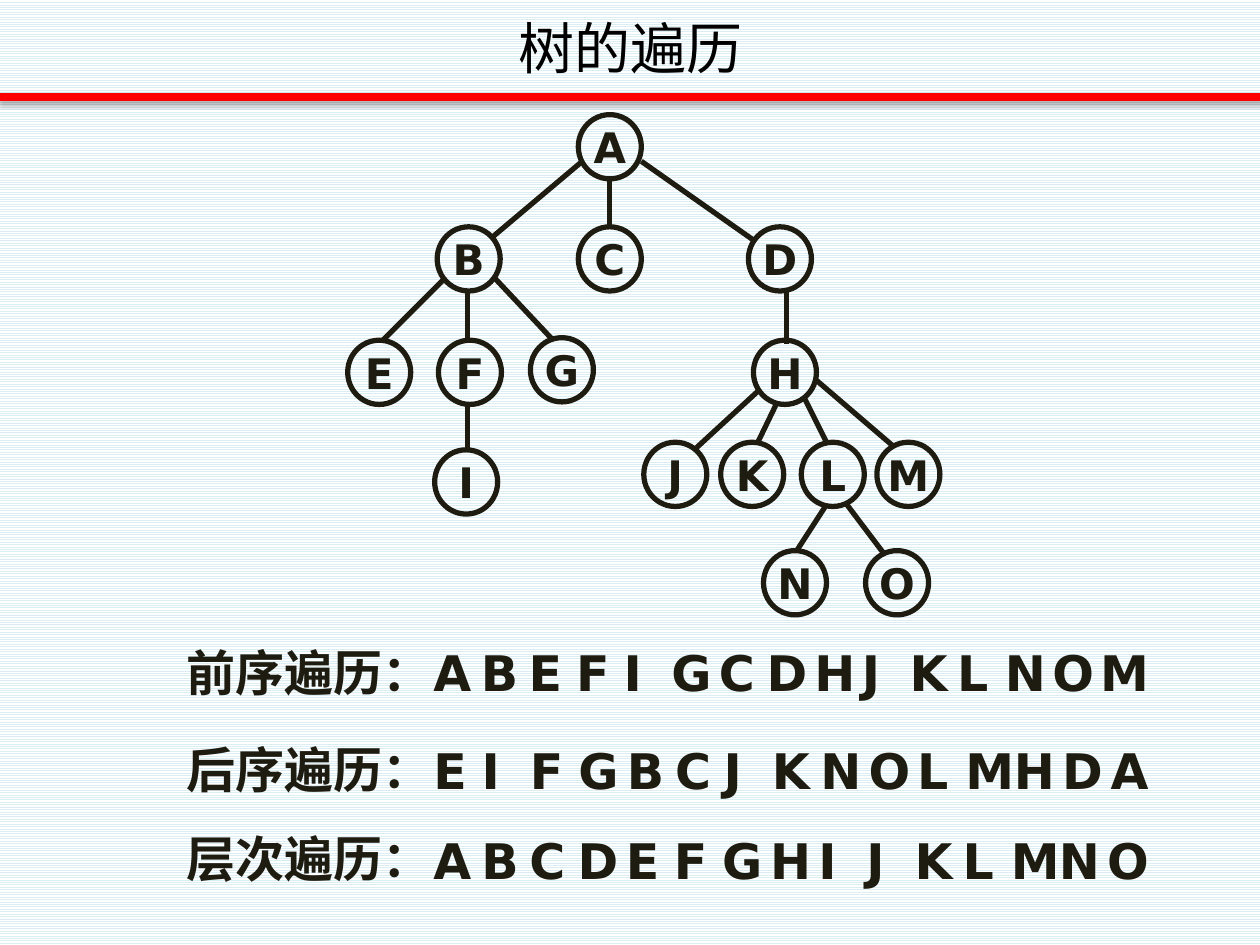
from dataclasses import dataclass

from lxml.etree import SubElement
from pptx import Presentation
from pptx.dml.color import RGBColor
from pptx.enum.dml import MSO_PATTERN
from pptx.enum.shapes import MSO_CONNECTOR, MSO_SHAPE
from pptx.enum.text import MSO_ANCHOR as Anchor, MSO_AUTO_SIZE as AutoSize, PP_ALIGN as Align
from pptx.oxml.ns import qn
from pptx.util import Inches, Length, Pt

COLUMNS, ROWS = 100, 75
INK = RGBColor(0x1E, 0x1C, 0x11)
RED = RGBColor(0xFF, 0x00, 0x00)
BLACK = RGBColor(0x00, 0x00, 0x00)
WHITE = RGBColor(0xFF, 0xFF, 0xFF)
PALE_BLUE = RGBColor(0xDB, 0xEE, 0xF4)
LATIN_FONT, CHINESE_FONT = "DejaVu Sans", "Noto Sans CJK SC"
NODE_WIDTH, NODE_HEIGHT = 5, 5.1
LETTER_START, LETTER_WIDTH, LETTER_HEIGHT = 33.4, 5.9, 5.7


@dataclass(frozen=True)
class Node:
    letter: str
    column: float
    row: float


@dataclass(frozen=True)
class Edge:
    start: tuple[float, float]
    end: tuple[float, float]


@dataclass(frozen=True)
class Traversal:
    label: str
    label_row: float
    label_height: float
    letters: str
    letter_row: float
    pitch: float


NODES = [
    Node("A", 45.9, 9.1),
    Node("B", 34.7, 18), Node("C", 45.9, 18), Node("D", 59.4, 18),
    Node("E", 27.6, 27), Node("F", 34.8, 27), Node("G", 42.1, 26.8), Node("H", 59.8, 27),
    Node("I", 34.5, 35.7),
    Node("J", 51.1, 35.1), Node("K", 57.2, 35.1), Node("L", 63.6, 35.1), Node("M", 69.6, 35.1),
    Node("N", 60.6, 43.7), Node("O", 68.7, 43.7),
]

EDGES = [
    Edge((46.1, 12.9), (39.1, 18.8)),
    Edge((48.4, 14.3), (48.4, 18)),
    Edge((50.9, 12.8), (60, 19.2)),
    Edge((35.2, 22.2), (30.3, 27.1)),
    Edge((37.1, 23.2), (37.1, 27)),
    Edge((39.2, 22), (43.8, 26.9)),
    Edge((37.1, 32.1), (37.1, 35.6)),
    Edge((62.4, 23), (62.4, 27.3)),
    Edge((60.1, 31.1), (55.1, 35.7)),
    Edge((61.6, 32.1), (60.1, 35.2)),
    Edge((63.9, 31.7), (65.7, 35.3)),
    Edge((64.7, 30.1), (71, 35.5)),
    Edge((65.5, 40.2), (63.3, 43.6)),
    Edge((67.1, 39.9), (70.2, 44)),
]

TRAVERSALS = [
    Traversal("前序遍历：", 50.7, 5.3, "ABEFIGCDHJKLNOM", 50.5, 3.78),
    Traversal("后序遍历：", 58.4, 5.3, "EIFGBCJKNOLMHDA", 58.3, 3.84),
    Traversal("层次遍历：", 65.2, 5.8, "ABCDEFGHIJKLMNO", 65.4, 3.82),
]

presentation = Presentation()
presentation.slide_width, presentation.slide_height = Inches(10), Inches(7.5)


def across(columns: float) -> Length:
    return Length(round(presentation.slide_width * columns / COLUMNS))


def down(rows: float) -> Length:
    return Length(round(presentation.slide_height * rows / ROWS))


def area(column: float, row: float, width: float, height: float) -> tuple[Length, ...]:
    return across(column), down(row), across(width), down(height)


def write(shape, text: str, size: float, align: Align, anchor: Anchor,
          color: RGBColor = INK, font: str = LATIN_FONT, bold: bool = True) -> None:
    shape.text_frame.vertical_anchor = anchor
    paragraph = shape.text_frame.paragraphs[0]
    paragraph.alignment = align
    run = paragraph.add_run()
    run.text = text
    run.font.size, run.font.name, run.font.bold = Pt(size), font, bold
    run.font.color.rgb = color
    SubElement(run.font._element, qn("a:ea"), typeface=CHINESE_FONT)


def draw_line(shapes, edge: Edge, color: RGBColor, width: float):
    (left, top), (right, bottom) = edge.start, edge.end
    line = shapes.add_connector(MSO_CONNECTOR.STRAIGHT, across(left), down(top),
                                across(right), down(bottom))
    line.line.color.rgb = color
    line.line.width = Pt(width)
    effects = SubElement(line._element.spPr, qn("a:effectLst"))
    return effects


def draw_divider(shapes) -> None:
    effects = draw_line(shapes, Edge((-0.1, 7.7), (100.1, 7.7)), RED, 4.5)
    shadow = SubElement(effects, qn("a:outerShdw"), blurRad=str(Pt(3.1)),
                        dist=str(Pt(1.8)), dir="5400000", rotWithShape="0")
    color = SubElement(shadow, qn("a:srgbClr"), val=str(BLACK))
    SubElement(color, qn("a:alpha"), val="35000")


def draw_node(shapes, node: Node) -> None:
    circle = shapes.add_shape(MSO_SHAPE.OVAL,
                              *area(node.column, node.row, NODE_WIDTH, NODE_HEIGHT))
    circle.shadow.inherit = False
    circle.fill.background()
    circle.line.color.rgb = INK
    circle.line.width = Pt(3)
    circle.text_frame.word_wrap = False
    write(circle, node.letter, 24, Align.CENTER, Anchor.MIDDLE)


def draw_traversal(shapes, traversal: Traversal) -> None:
    label = shapes.add_textbox(*area(11, traversal.label_row, 24.2, traversal.label_height))
    label.text_frame.word_wrap = True
    write(label, traversal.label, 28, Align.RIGHT, Anchor.MIDDLE)
    group = shapes.add_group_shape()
    for index, letter in enumerate(traversal.letters):
        box = group.shapes.add_textbox(*area(LETTER_START + index * traversal.pitch,
                                             traversal.letter_row, LETTER_WIDTH, LETTER_HEIGHT))
        box.text_frame.word_wrap = True
        box.text_frame.auto_size = AutoSize.SHAPE_TO_FIT_TEXT
        write(box, letter, 28, Align.LEFT, Anchor.TOP)


def main() -> None:
    slide = presentation.slides.add_slide(presentation.slide_layouts[5])
    background = slide.background.fill
    background.patterned()
    background.pattern = MSO_PATTERN.LIGHT_HORIZONTAL
    background.fore_color.rgb = PALE_BLUE
    background.back_color.rgb = WHITE

    title = slide.shapes.title
    title.left, title.top, title.width, title.height = area(0, 0.5, 100.1, 6.5)
    title.text_frame.auto_size = AutoSize.NONE
    write(title, "树的遍历", 32, Align.CENTER, Anchor.MIDDLE, BLACK, CHINESE_FONT, False)

    draw_divider(slide.shapes)
    tree = slide.shapes.add_group_shape()
    for node in NODES:
        draw_node(tree.shapes, node)
    for edge in EDGES:
        draw_line(tree.shapes, edge, INK, 3)
    for traversal in TRAVERSALS:
        draw_traversal(slide.shapes, traversal)

    presentation.save("out.pptx")


if __name__ == "__main__":
    main()
